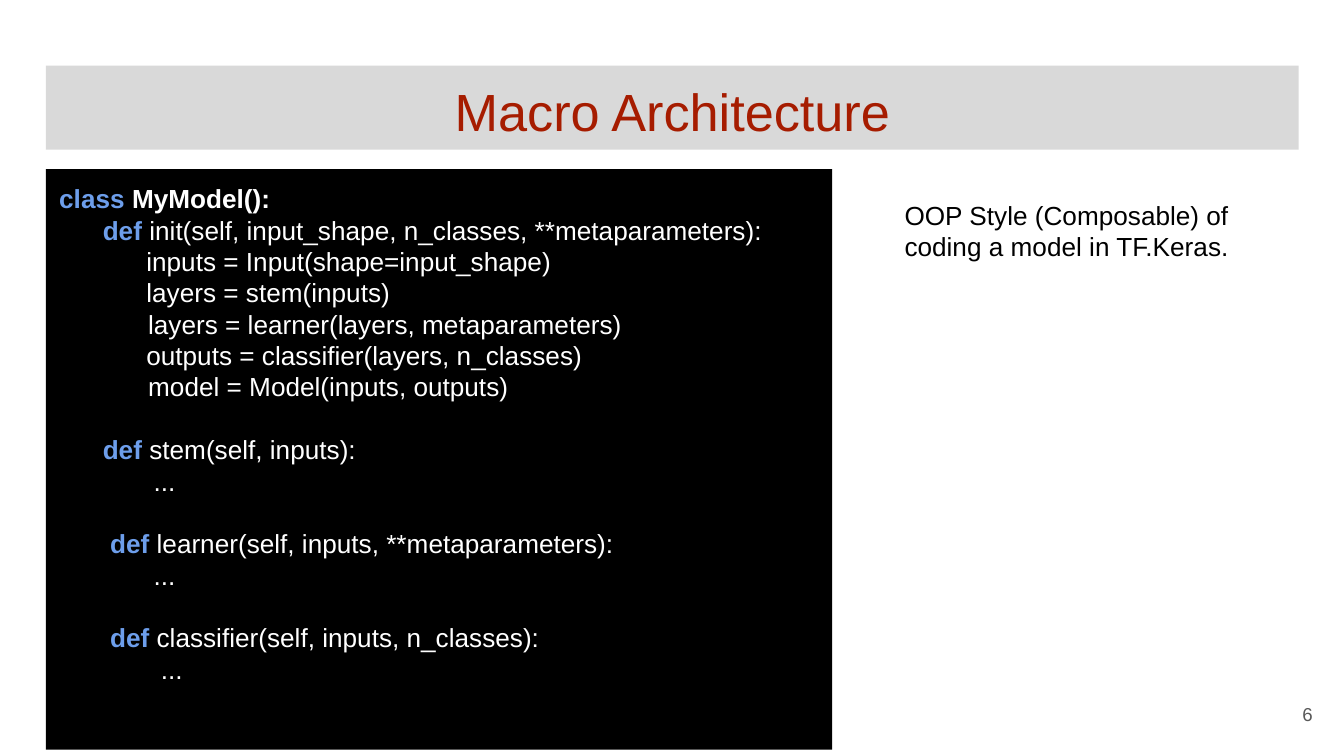
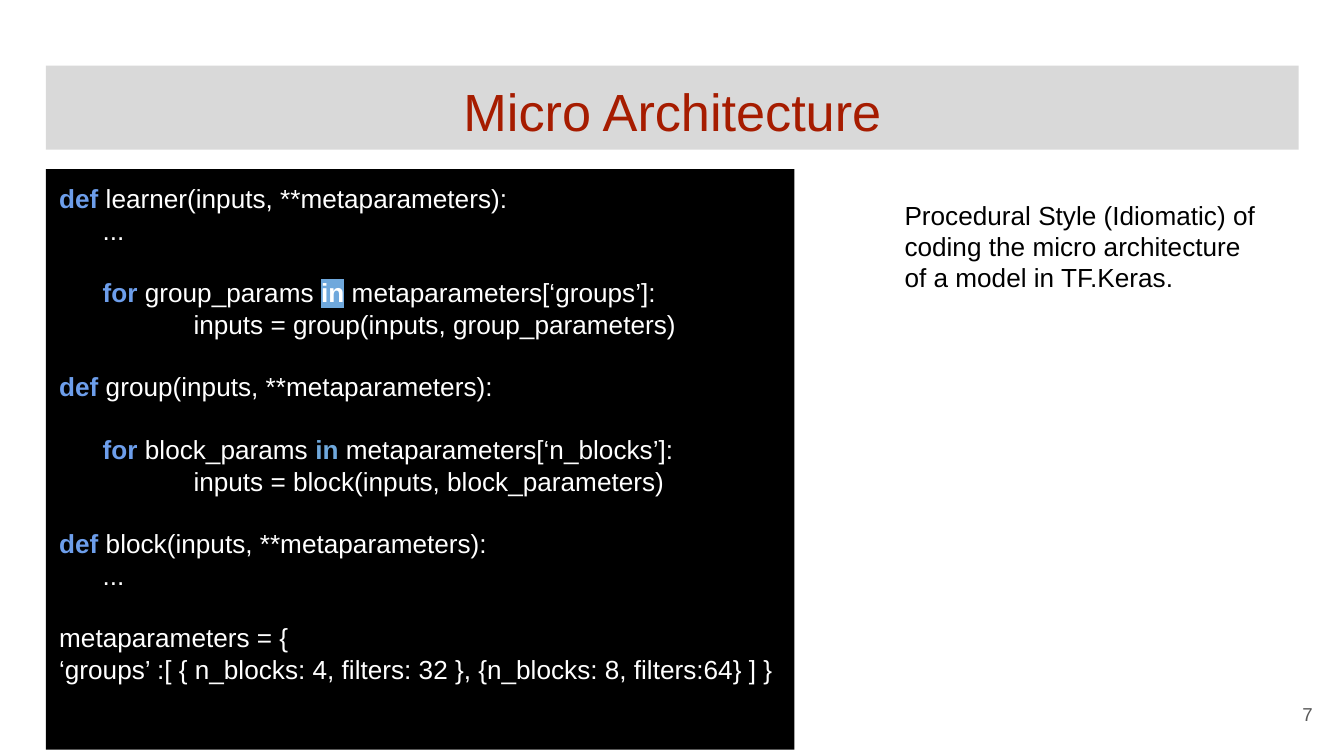
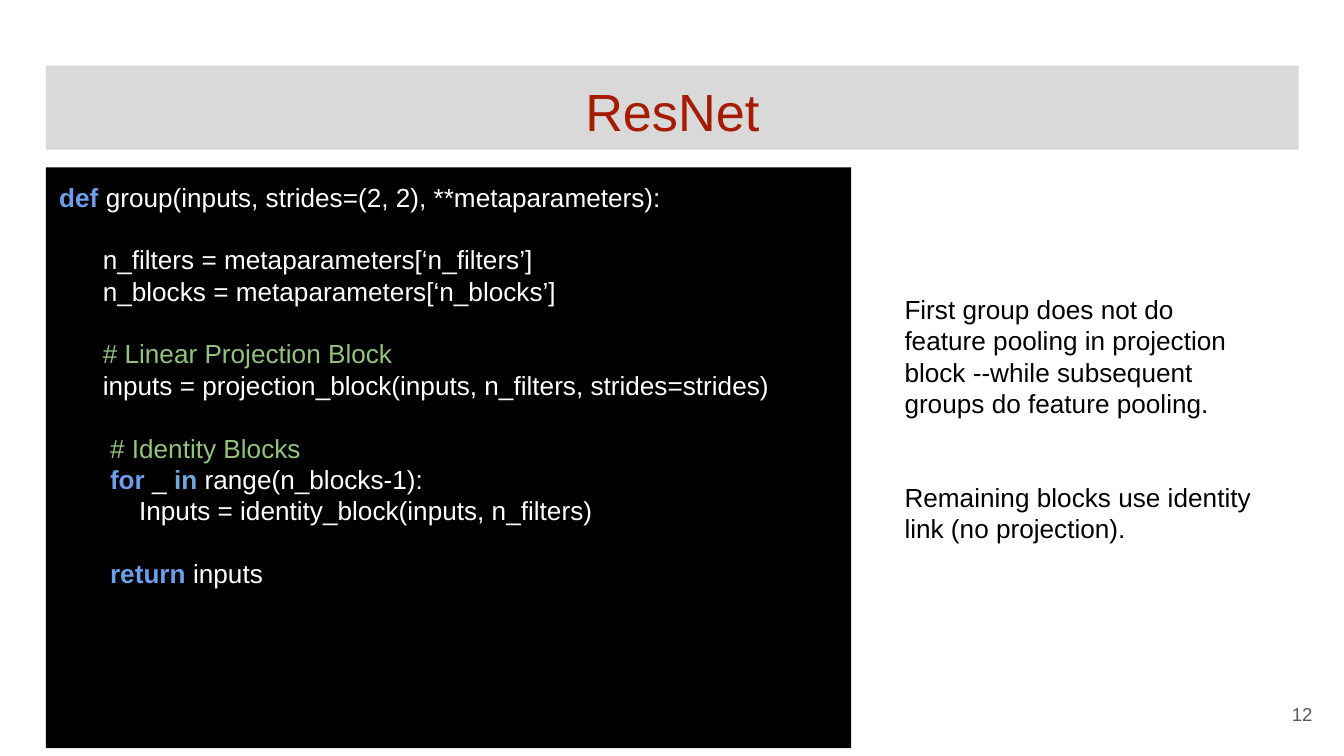
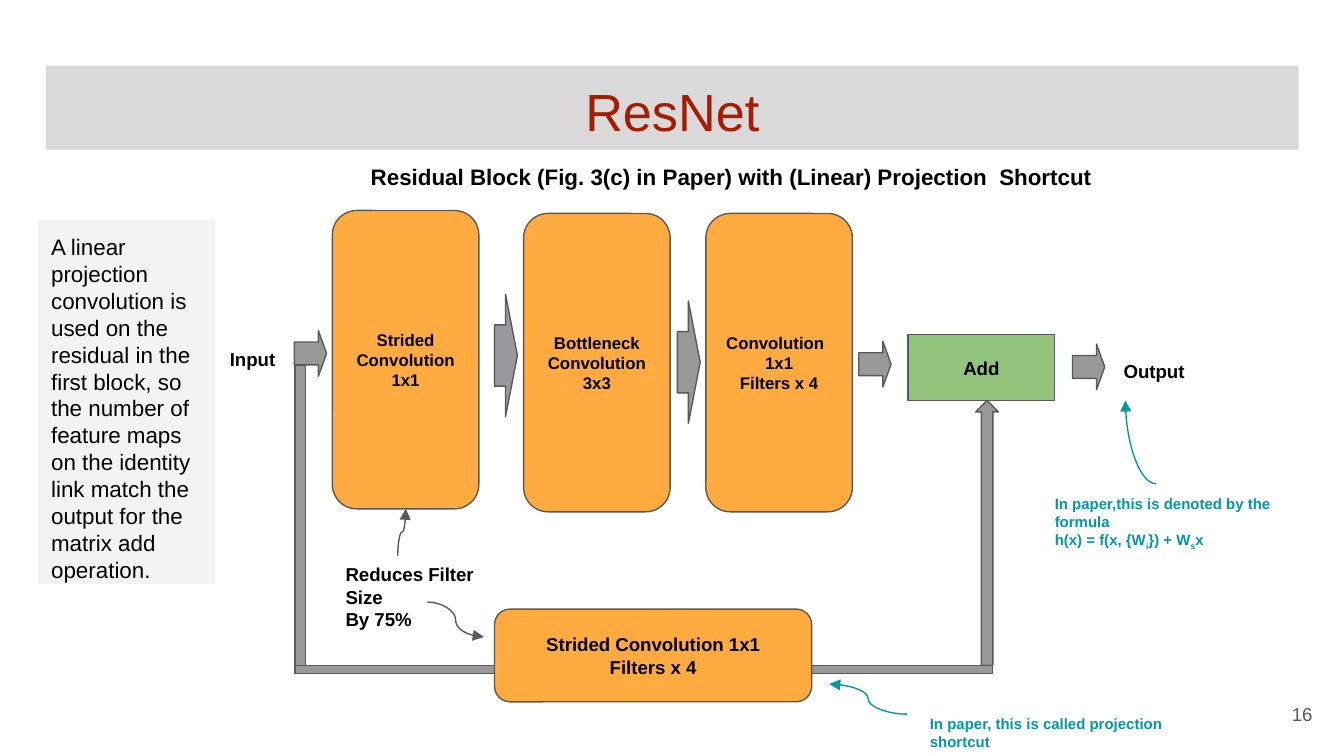
"""Build four slides on model architecture: three of code and one diagram of a residual block."""
import itertools
from dataclasses import dataclass
from typing import NamedTuple, Optional

import lxml.etree
import pptx
import pptx.dml.color
import pptx.enum.shapes
import pptx.enum.text
import pptx.oxml.ns
import pptx.util

Kind = pptx.enum.shapes.MSO_SHAPE
Align = pptx.enum.text.PP_ALIGN
Anchor = pptx.enum.text.MSO_ANCHOR
qn = pptx.oxml.ns.qn

WIDTH = pptx.util.Inches(10)
HEIGHT = WIDTH * 9 // 16
CELL = WIDTH / 100
FONT = "Arial"
BLACK, WHITE, RED, TEAL = "000000", "FFFFFF", "A61C00", "0097A7"
BAND, PALE, GREY, DARK = "D9D9D9", "F3F3F3", "999999", "595959"
ORANGE, GREEN, BLUE, SKY = "FFAB40", "93C47D", "6D9EEB", "6FA8DC"
OUTLINE = 0.75
CODE_SIZE, CODE_SPACE, CODE_ROW = 14, 3.89, 16.8


class Area(NamedTuple):
    left: float
    top: float
    width: float
    height: float


class Style(NamedTuple):
    size: float
    colour: str = BLACK
    bold: bool = False


class Ink(NamedTuple):
    colour: str
    bold: bool = False
    highlight: Optional[str] = None


class Code(NamedTuple):
    indent: float
    text: str
    blank_rows: int = 0


@dataclass(frozen=True)
class Label:
    area: Area
    lines: tuple[str, ...]
    style: Style
    align: Optional[int] = None
    anchor: int = Anchor.TOP
    gap: float = 0


@dataclass(frozen=True)
class Block:
    kind: int
    area: Area
    fill: str
    lines: tuple[str, ...]
    size: float
    first_align: int = Align.CENTER


@dataclass(frozen=True)
class Arrow:
    kind: int
    area: Area
    head: float
    rotation: float = 270


@dataclass(frozen=True)
class Curve:
    start: tuple[float, float]
    end: tuple[float, float]
    colour: str
    rotation: int = 0
    preset: str = "curvedConnector3"


@dataclass(frozen=True)
class CodePage:
    title: str
    number: int
    panel: Area
    code: tuple[Code, ...]
    note: Label


TITLE_AREA = Area(3.42, 4.88, 93.2, 6.25)
NUMBER_AREA = Area(92.65, 51, 6, 4.3)
NOTE_AREA = Area(66.32, 13.8, 28.4, 39.5)
NOTE_STYLE = Style(14)
PLAIN_KEYWORDS = ("class", "def", "for", "return")
KEYWORDS = {word: Ink(BLUE, True) for word in PLAIN_KEYWORDS}
KEYWORDS |= {"in": Ink(SKY, True), "in*": Ink(WHITE, True, SKY)}


def rgb(colour: str) -> pptx.dml.color.RGBColor:
    """Turn a hex string into a colour."""
    return pptx.dml.color.RGBColor.from_string(colour)


def cells(*counts: float) -> list[int]:
    """Turn counts of grid cells into lengths."""
    return [round(count * CELL) for count in counts]


def set_font(font, style: Style) -> None:
    """Apply a text style to a font."""
    font.name, font.size, font.bold = FONT, pptx.util.Pt(style.size), style.bold
    font.color.rgb = rgb(style.colour)


def prepare_frame(frame, anchor: int) -> None:
    """Give a text frame its wrapping, insets and anchor."""
    frame.word_wrap = True
    frame.auto_size = pptx.enum.text.MSO_AUTO_SIZE.NONE
    frame.vertical_anchor = anchor
    inset = pptx.util.Inches(0.1)
    frame.margin_left = frame.margin_right = frame.margin_top = frame.margin_bottom = inset


def paragraphs(frame, count: int) -> list:
    """Return the wanted number of paragraphs of an empty frame."""
    return [frame.paragraphs[0], *(frame.add_paragraph() for _ in range(count - 1))]


def write(frame, lines: tuple[str, ...], style: Style, align: Optional[int] = None,
          anchor: int = Anchor.TOP, gap: float = 0) -> None:
    """Write lines as paragraphs, lowering text between underscores."""
    prepare_frame(frame, anchor)
    for row, (para, line) in enumerate(zip(paragraphs(frame, len(lines)), lines)):
        para.alignment = align
        if row and gap:
            para.space_before = pptx.util.Pt(gap)
        for place, part in enumerate(line.split("_")):
            span = para.add_run()
            span.text = part
            if place % 2:
                span.font._element.set("baseline", "-25000")
        for font in (para.font, *(span.font for span in para.runs)):
            set_font(font, style)


def add_label(page, label: Label) -> None:
    """Add a text box."""
    box = page.shapes.add_textbox(*cells(*label.area))
    write(box.text_frame, label.lines, label.style, label.align, label.anchor, label.gap)


def add_figure(page, kind: int, area: Area, fill: str, line: Optional[str] = DARK):
    """Add a flat preset shape with a fill and an optional outline."""
    shape = page.shapes.add_shape(kind, *cells(*area))
    shape.shadow.inherit = False
    shape.fill.solid()
    shape.fill.fore_color.rgb = rgb(fill)
    if line:
        shape.line.color.rgb = rgb(line)
        shape.line.width = pptx.util.Pt(OUTLINE)
    else:
        shape.line.fill.background()
    return shape


def add_block(page, block: Block) -> None:
    """Add a labelled stage of the diagram."""
    shape = add_figure(page, block.kind, block.area, block.fill)
    write(shape.text_frame, block.lines, Style(block.size, bold=True), Align.CENTER, Anchor.MIDDLE)
    shape.text_frame.paragraphs[0].alignment = block.first_align


def add_arrow(page, arrow: Arrow) -> None:
    """Add a block arrow."""
    shape = add_figure(page, arrow.kind, arrow.area, GREY)
    shape.adjustments[0], shape.adjustments[1] = 0.5, arrow.head
    shape.rotation = arrow.rotation


def add_curve(page, curve: Curve) -> None:
    """Add a curved connector that ends in an arrowhead."""
    connector = page.shapes.add_connector(
        pptx.enum.shapes.MSO_CONNECTOR.CURVE, *cells(*curve.start, *curve.end))
    connector.line.color.rgb = rgb(curve.colour)
    connector.line.width = pptx.util.Pt(OUTLINE)
    properties = connector._element.spPr
    properties.find(qn("a:prstGeom")).set("prst", curve.preset)
    if curve.rotation:
        properties.find(qn("a:xfrm")).set("rot", str(curve.rotation * 60000))
    lxml.etree.SubElement(properties.find(qn("a:ln")), qn("a:tailEnd"), type="triangle")
    lxml.etree.SubElement(properties, qn("a:effectLst"))


def ink_spans(text: str) -> list[tuple[str, Ink]]:
    """Split a code line into spans by syntax."""
    if text.startswith("#"):
        return [(text, Ink(GREEN))]
    plain = Ink(WHITE, text.startswith("class "))
    groups = [(ink, " ".join(words)) for ink, words in itertools.groupby(
        text.split(" "), key=lambda word: KEYWORDS.get(word, plain))]
    spans = []
    for place, (ink, words) in enumerate(groups):
        if ink == plain:
            before = " " if place else ""
            after = " " if place < len(groups) - 1 else ""
            spans.append((before + words + after, ink))
        else:
            spans.append((words.rstrip("*"), ink))
    return spans


def add_code(page, area: Area, code: tuple[Code, ...]) -> None:
    """Add a black panel of coloured code."""
    frame = add_figure(page, Kind.RECTANGLE, area, BLACK, None).text_frame
    prepare_frame(frame, Anchor.TOP)
    for para, line in zip(paragraphs(frame, len(code)), code):
        para.alignment = Align.LEFT
        para.space_before = pptx.util.Pt(line.blank_rows * CODE_ROW)
        para._p.get_or_add_pPr().set("marL", str(pptx.util.Pt(line.indent * CODE_SPACE)))
        for text, ink in ink_spans(line.text):
            span = para.add_run()
            span.text = text
            set_font(span.font, Style(CODE_SIZE, ink.colour, ink.bold))
            if ink.highlight:
                mark = lxml.etree.Element(qn("a:highlight"))
                lxml.etree.SubElement(mark, qn("a:srgbClr"), val=ink.highlight)
                span.font._element.find(qn("a:solidFill")).addnext(mark)


def add_page(deck, title: str, number: int):
    """Add a slide with its title band and number."""
    page = deck.slides.add_slide(deck.slide_layouts.get_by_name("Title Only"))
    band = page.shapes.title
    band.left, band.top, band.width, band.height = cells(*TITLE_AREA)
    band.fill.solid()
    band.fill.fore_color.rgb = rgb(BAND)
    write(band.text_frame, (title,), Style(28, RED), Align.CENTER)
    add_label(page, Label(NUMBER_AREA, (str(number),), Style(10, DARK), Align.RIGHT, Anchor.MIDDLE))
    return page


CODE_PAGES = (
    CodePage("Macro Architecture", 6, Area(3.42, 12.58, 58.5, 43.2), (
        Code(0, "class MyModel():"),
        Code(6, "def init(self, input_shape, n_classes, **metaparameters):"),
        Code(12, "inputs = Input(shape=input_shape)"),
        Code(12, "layers = stem(inputs)"),
        Code(12.25, "layers = learner(layers, metaparameters)"),
        Code(12, "outputs = classifier(layers, n_classes)"),
        Code(12.25, "model = Model(inputs, outputs)"),
        Code(6, "def stem(self, inputs):", 1),
        Code(13, "..."),
        Code(7, "def learner(self, inputs, **metaparameters):", 1),
        Code(13, "..."),
        Code(7, "def classifier(self, inputs, n_classes):", 1),
        Code(14, "..."),
    ), Label(NOTE_AREA, ("OOP Style (Composable) of coding a model in TF.Keras.",), NOTE_STYLE)),
    CodePage("Micro Architecture", 7, Area(3.42, 12.58, 55.7, 43.2), (
        Code(0, "def learner(inputs, **metaparameters):"),
        Code(6, "..."),
        Code(6, "for group_params in* metaparameters[‘groups’]:", 1),
        Code(18.5, "inputs = group(inputs, group_parameters)"),
        Code(0, "def group(inputs, **metaparameters):", 1),
        Code(6, "for block_params in metaparameters[‘n_blocks’]:", 1),
        Code(18.5, "inputs = block(inputs, block_parameters)"),
        Code(0, "def block(inputs, **metaparameters):", 1),
        Code(6, "..."),
        Code(0, "metaparameters = {", 1),
        Code(0, "‘groups’ :[ { n_blocks: 4, filters: 32 }, {n_blocks: 8, filters:64} ] }"),
    ), Label(NOTE_AREA, (
        "Procedural Style (Idiomatic) of coding the micro architecture of a model in TF.Keras.",
    ), NOTE_STYLE)),
    CodePage("ResNet", 12, Area(3.42, 12.46, 59.9, 43.2), (
        Code(0, "def group(inputs, strides=(2, 2), **metaparameters):"),
        Code(6, "n_filters = metaparameters[‘n_filters’]", 1),
        Code(6, "n_blocks = metaparameters[‘n_blocks’]"),
        Code(6, "# Linear Projection Block", 1),
        Code(6, "inputs = projection_block(inputs, n_filters, strides=strides)"),
        Code(7, "# Identity Blocks", 1),
        Code(7, "for _ in range(n_blocks-1):"),
        Code(11, "Inputs = identity_block(inputs, n_filters)"),
        Code(7, "return inputs", 1),
    ), Label(NOTE_AREA._replace(top=20.82, height=32.5), (
        "First group does not do feature pooling in projection block "
        "--while subsequent groups do feature pooling.",
        "Remaining blocks use identity link (no projection).",
    ), NOTE_STYLE, gap=2 * CODE_ROW)),
)

ARROWS = (
    *(Arrow(Kind.DOWN_ARROW, Area(left, top, 9.1, 1.7), 0.517)
      for left, top in ((46.7, 26.1), (33.1, 25.6))),
    *(Arrow(Kind.DOWN_ARROW, Area(left, top, 3.4, 2.4), 0.253)
      for left, top in ((21.4, 25.1), (63.4, 25.9), (79.3, 26.1))),
)
SHORTCUT_PIPES = (Area(21.95, 27.2, 0.8, 22.9), Area(21.95, 49.5, 51.9, 0.6))
SHORTCUT_ARROW = Arrow(Kind.UP_ARROW, Area(72.6, 29.8, 1.7, 19.7), 0.5, 0)
BLOCKS = (
    Block(Kind.ROUNDED_RECTANGLE, Area(24.73, 15.66, 10.9, 22.2), ORANGE,
          ("Strided", "Convolution", "1x1"), 9),
    Block(Kind.ROUNDED_RECTANGLE, Area(38.96, 15.88, 10.9, 22.2), ORANGE,
          ("Bottleneck", "Convolution", "3x3"), 9),
    Block(Kind.ROUNDED_RECTANGLE, Area(52.52, 15.88, 10.9, 22.2), ORANGE,
          ("Convolution", "1x1", "Filters x 4"), 9, Align.LEFT),
    Block(Kind.RECTANGLE, Area(67.57, 24.9, 10.9, 4.9), GREEN, ("Add",), 10),
    Block(Kind.ROUNDED_RECTANGLE, Area(36.8, 45.32, 23.6, 6.9), ORANGE,
          ("Strided Convolution 1x1", "Filters x 4"), 10),
)
LABELS = (
    Label(Area(26.6, 11.14, 57.1, 3.7),
          ("Residual Block (Fig. 3(c) in Paper) with (Linear) Projection  Shortcut",),
          Style(12, bold=True)),
    Label(Area(16.12, 24.9, 5.8, 2.7), ("Input",), Style(10, bold=True)),
    Label(Area(82.62, 25.8, 6.6, 2.7), ("Output",), Style(10, bold=True)),
    Label(Area(24.73, 40.9, 14.5, 6.9), ("Reduces Filter Size", "By 75%"), Style(10, bold=True)),
    Label(Area(68.2, 52.2, 20.2, 2.7), ("In paper, this is called projection shortcut",),
          Style(8, TEAL, True)),
    Label(Area(77.5, 35.8, 21.4, 4.9),
          ("In paper,this is denoted by the formula", "h(x) = f(x, {W_i_}) + W_s_x"),
          Style(8, TEAL, True)),
)
CURVES = (
    Curve((67.5, 53.14), (61.7, 50.9), TEAL),
    Curve((28.15, 39.3), (31.65, 39.9), DARK, 270),
    Curve((31.8, 44.8), (36, 47.4), DARK),
    Curve((86.04, 36), (83.74, 29.8), TEAL, preset="curvedConnector2"),
)
SUMMARY_AREA = Area(2.82, 16.36, 13.2, 27.1)
SUMMARY = ("A linear projection convolution is used on the residual in the first block, so the number "
           "of feature maps on the identity link match the output for the matrix add operation.")


def add_code_page(deck, content: CodePage) -> None:
    """Add a slide with a code panel and a note beside it."""
    page = add_page(deck, content.title, content.number)
    add_code(page, content.panel, content.code)
    add_label(page, content.note)


def add_diagram_page(deck) -> None:
    """Add the slide with the residual block diagram."""
    page = add_page(deck, "ResNet", 16)
    for arrow in ARROWS:
        add_arrow(page, arrow)
    for pipe in SHORTCUT_PIPES:
        add_figure(page, Kind.RECTANGLE, pipe, GREY)
    add_arrow(page, SHORTCUT_ARROW)
    for block in BLOCKS:
        add_block(page, block)
    for label in LABELS:
        add_label(page, label)
    for curve in CURVES:
        add_curve(page, curve)
    panel = add_figure(page, Kind.RECTANGLE, SUMMARY_AREA, PALE, None)
    write(panel.text_frame, (SUMMARY,), Style(12), Align.LEFT)


def main() -> None:
    """Build and save the deck."""
    deck = pptx.Presentation()
    deck.slide_width, deck.slide_height = WIDTH, HEIGHT
    for content in CODE_PAGES:
        add_code_page(deck, content)
    add_diagram_page(deck)
    deck.save("out.pptx")


if __name__ == "__main__":
    main()
